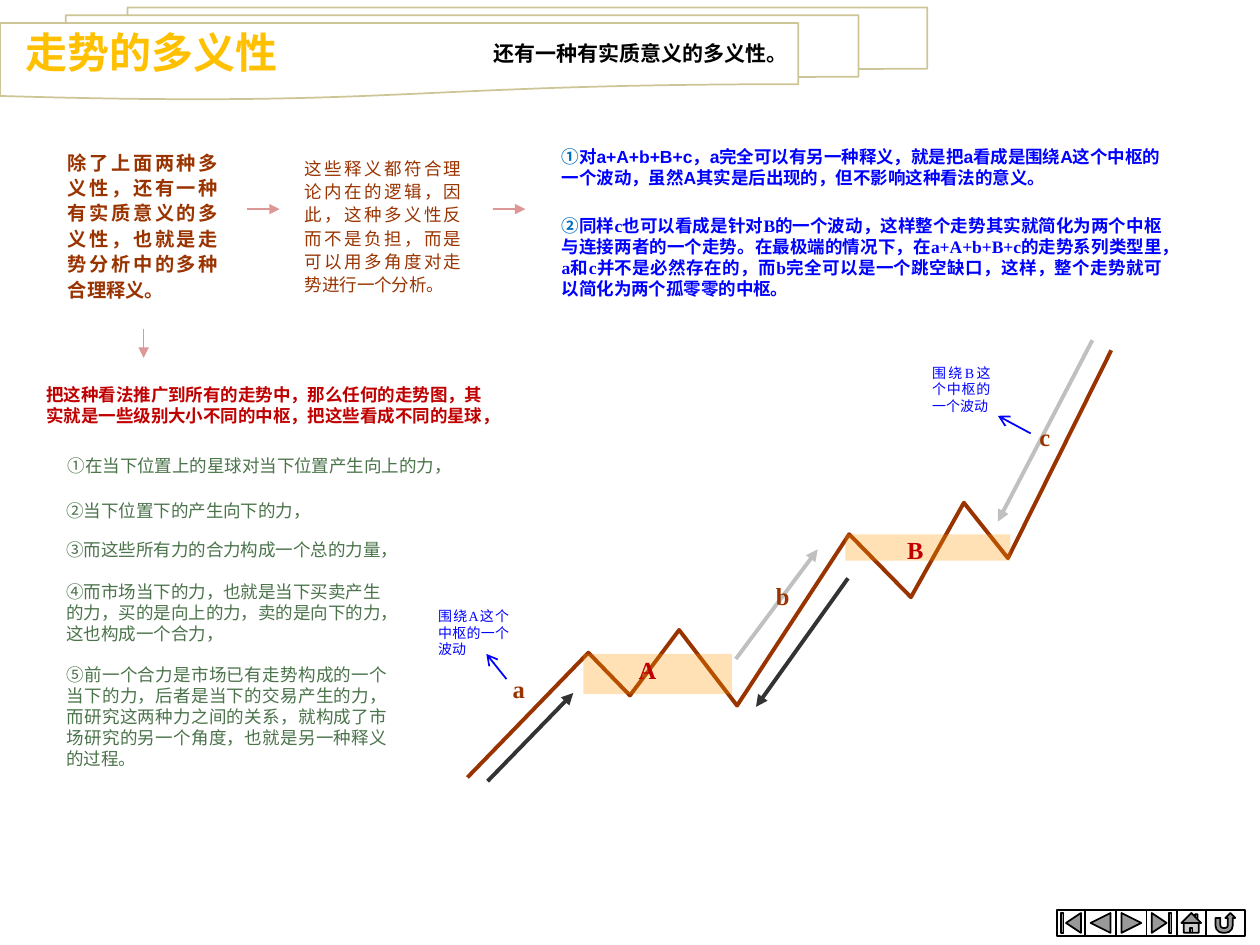
from dataclasses import dataclass

from lxml import etree
from pptx import Presentation
from pptx.dml.color import RGBColor
from pptx.enum.shapes import MSO_CONNECTOR, MSO_SHAPE
from pptx.enum.text import MSO_ANCHOR, MSO_AUTO_SIZE, PP_ALIGN
from pptx.oxml.ns import qn
from pptx.util import Inches, Pt

STRAIGHT = MSO_CONNECTOR.STRAIGHT
RECTANGLE = MSO_SHAPE.RECTANGLE
BANNER = MSO_SHAPE.FLOWCHART_MULTIDOCUMENT
LEFT, JUSTIFY = PP_ALIGN.LEFT, PP_ALIGN.JUSTIFY
TOP, BOTTOM = MSO_ANCHOR.TOP, MSO_ANCHOR.BOTTOM
NO_AUTOFIT = MSO_AUTO_SIZE.NONE

SANS, SERIF, CHINESE = "Arial", "Times New Roman", "Noto Sans CJK SC"
COLORS = {
    "white": "FFFFFF", "black": "000000", "gold": "FFC000", "banner": "CEC597",
    "brown": "993300", "green": "4A734A", "blue": "0000FF", "marker": "0070C0",
    "red": "C00000", "pink": "DD9797", "orange": "FF9900", "silver": "C0C0C0",
    "dark": "333333",
}


@dataclass
class TextBlock:
    left: float
    top: float
    width: float
    height: float
    runs: list[tuple[str, str]]  # (text, color)
    size: float = 10
    font: str = SANS
    bold: bool = False
    align: PP_ALIGN = LEFT
    spacing: float = 1.2  # line pitch relative to the text size
    wrap: bool = True


@dataclass
class Line:
    start: tuple[float, float]
    end: tuple[float, float]
    color: str
    width: float
    head: str = "triangle"


TEXTS = [
    TextBlock(3.82, 0.27, 2.52, 0.39, [("还有一种有实质意义的多义性。", "black")], 12, bold=True),
    TextBlock(0.44, 1.13, 1.39, 1.26,
              [("除了上面两种多义性，还有一种有实质意义的多义性，也就是走势分析中的多种合理释义。", "brown")],
              11, SERIF, True, JUSTIFY, 1.32),
    TextBlock(2.32, 1.19, 1.44, 1.18,
              [("这些释义都符合理论内在的逻辑，因此，这种多义性反而不是负担，而是可以用多角度对走势进行一个分析。", "brown")],
              10, SERIF, False, JUSTIFY, 1.32),
    TextBlock(4.36, 1.11, 5.04, 0.44,
              [("①", "marker"),
               ("对a+A+b+B+c，a完全可以有另一种释义，就是把a看成是围绕A这个中枢的一个波动，"
                "虽然A其实是后出现的，但不影响这种看法的意义。", "blue")], bold=True),
    TextBlock(4.36, 1.66, 4.96, 0.71,
              [("②", "marker"),
               ("同样c也可以看成是针对B的一个波动，这样整个走势其实就简化为两个中枢与连接两者的一个走势。"
                "在最极端的情况下，在a+A+b+B+c的走势系列类型里，a和c并不是必然存在的，"
                "而b完全可以是一个跳空缺口，这样，整个走势就可以简化为两个孤零零的中枢。", "blue")],
              10, SERIF, True, JUSTIFY),
    TextBlock(0.27, 3, 3.73, 0.6,
              [("把这种看法推广到所有的走势中，那么任何的走势图，其实就是一些级别大小不同的中枢，"
                "把这些看成不同的星球，", "red")], bold=True),
    TextBlock(0.44, 3.56, 3.24, 0.27,
              [("①在当下位置上的星球对当下位置产生向上的力，", "green")], wrap=False),
    TextBlock(0.43, 3.92, 2.13, 0.27,
              [("②当下位置下的产生向下的力，", "green")], wrap=False),
    TextBlock(0.43, 4.23, 2.81, 0.44,
              [("③而这些所有力的合力构成一个总的力量，", "green")]),
    TextBlock(0.43, 4.56, 2.76, 0.6,
              [("④而市场当下的力，也就是当下买卖产生的力，买的是向上的力，卖的是向下的力，"
                "这也构成一个合力，", "green")]),
    TextBlock(0.43, 5.22, 2.74, 0.97,
              [("⑤前一个合力是市场已有走势构成的一个当下的力，后者是当下的交易产生的力，"
                "而研究这两种力之间的关系，就构成了市场研究的另一个角度，也就是另一种释义的过程。", "green")],
              align=JUSTIFY),
    TextBlock(3.38, 4.77, 0.76, 0.52, [("围绕A这个中枢的一个波动", "blue")], 8, SERIF, align=JUSTIFY),
    TextBlock(7.3, 2.84, 0.66, 0.52, [("围绕B这个中枢的一个波动", "blue")], 8, SERIF, align=JUSTIFY),
]

TREND = [(3.71, 6.17), (4.67, 5.18), (5, 5.52), (5.39, 5), (5.85, 5.6),
         (6.74, 4.24), (7.23, 4.74), (7.65, 3.99), (8, 4.43), (8.82, 2.78)]
ZONES = [(4.63, 5.19, 1.18, 0.32), (6.71, 4.24, 1.31, 0.21)]
LETTERS = [("a", 3.97, 5.3, "brown"), ("A", 4.97, 5.15, "red"), ("b", 6.06, 4.56, "brown"),
           ("B", 7.1, 4.2, "red"), ("c", 8.15, 3.3, "brown")]
LINES = [
    Line((1.96, 1.66), (2.22, 1.66), "pink", 0.75),
    Line((3.91, 1.66), (4.17, 1.66), "pink", 0.75),
    Line((1.14, 2.61), (1.14, 2.84), "pink", 1),
    Line((4.02, 5.39), (3.86, 5.19), "blue", 1, "arrow"),
    Line((8.18, 3.44), (7.92, 3.3), "blue", 1, "arrow"),
    Line((8.67, 2.7), (7.92, 4.14), "silver", 2.25),
    Line((5.84, 5.23), (6.49, 4.36), "silver", 2.25),
    Line((3.87, 6.2), (4.55, 5.5), "dark", 2.25),
    Line((6.73, 4.59), (6, 5.61), "dark", 2.25),
]
BUTTONS = [
    (MSO_SHAPE.ACTION_BUTTON_BEGINNING, 0.22),
    (MSO_SHAPE.ACTION_BUTTON_BACK_OR_PREVIOUS, 0.25),
    (MSO_SHAPE.ACTION_BUTTON_FORWARD_OR_NEXT, 0.24),
    (MSO_SHAPE.ACTION_BUTTON_END, 0.24),
    (MSO_SHAPE.ACTION_BUTTON_HOME, 0.23),
    (MSO_SHAPE.ACTION_BUTTON_RETURN, 0.31),
]


def rgb(name: str) -> RGBColor:
    return RGBColor.from_string(COLORS[name])


def place(shape, left: float, top: float, width: float, height: float) -> None:
    shape.left, shape.top = Inches(left), Inches(top)
    shape.width, shape.height = Inches(width), Inches(height)


def fill_text(shape, block: TextBlock, anchor: MSO_ANCHOR = TOP) -> None:
    frame = shape.text_frame
    frame.word_wrap = block.wrap
    frame.auto_size = NO_AUTOFIT
    frame.vertical_anchor = anchor
    paragraph = frame.paragraphs[0]
    paragraph.alignment = block.align
    paragraph.line_spacing = Pt(block.size * block.spacing)
    for text, color in block.runs:
        run = paragraph.add_run()
        run.text = text
        run.font.size, run.font.bold = Pt(block.size), block.bold
        run.font.color.rgb = rgb(color)
        run.font.name = block.font
        latin = run.font._element.find(qn("a:latin"))
        east_asian = etree.Element(qn("a:ea"), typeface=CHINESE)
        latin.addnext(east_asian)


def add_text(slide, block: TextBlock) -> None:
    shape = slide.shapes.add_textbox(0, 0, 0, 0)
    place(shape, block.left, block.top, block.width, block.height)
    fill_text(shape, block)


def add_box(slide, kind: MSO_SHAPE, box: tuple, fill: str, line: str | None = None):
    shape = slide.shapes.add_shape(kind, *map(Inches, box))
    shape.shadow.inherit = False
    shape.fill.solid()
    shape.fill.fore_color.rgb = rgb(fill)
    if line:
        shape.line.color.rgb, shape.line.width = rgb(line), Pt(1)
    else:
        shape.line.fill.background()
    return shape


def add_zone(slide, box: tuple) -> None:
    """Add a translucent band marking a trading range."""
    shape = add_box(slide, RECTANGLE, box, "orange")
    color = shape.element.spPr.find(qn("a:solidFill"))[0]
    etree.SubElement(color, qn("a:alpha"), val="29000")


def add_line(slide, line: Line) -> None:
    connector = slide.shapes.add_connector(STRAIGHT, *map(Inches, line.start + line.end))
    connector.line.color.rgb, connector.line.width = rgb(line.color), Pt(line.width)
    outline = connector.line._get_or_add_ln()
    etree.SubElement(outline, qn("a:tailEnd"), type=line.head)
    etree.SubElement(connector.element.spPr, qn("a:effectLst"))


def add_trend(slide) -> None:
    points = [(Inches(x), Inches(y)) for x, y in TREND]
    builder = slide.shapes.build_freeform(*points[0])
    builder.add_line_segments(points[1:], close=False)
    shape = builder.convert_to_shape()
    shape.shadow.inherit = False
    shape.fill.background()
    shape.line.color.rgb, shape.line.width = rgb("brown"), Pt(2.25)


def main() -> None:
    presentation = Presentation()
    presentation.slide_width, presentation.slide_height = Inches(10), Inches(7.5)
    slide = presentation.slides.add_slide(presentation.slide_layouts[5])

    title = slide.shapes.title
    place(title, 0.1, 0.18, 2.22, 0.48)
    fill_text(title, TextBlock(0.1, 0.18, 2.22, 0.48, [("走势的多义性", "gold")], 24, CHINESE, True), BOTTOM)
    banner = add_box(slide, BANNER, (0, 0.06, 7.36, 0.73), "white", "banner")
    title.element.addprevious(banner.element)

    for block in TEXTS:
        add_text(slide, block)
    add_trend(slide)
    for zone in ZONES:
        add_zone(slide, zone)
    for line in LINES:
        add_line(slide, line)
    for letter, left, top, color in LETTERS:
        add_text(slide, TextBlock(left, top, 0.39, 0.42, [(letter, color)], 14, SERIF, True, JUSTIFY))

    left = 8.39
    for kind, width in BUTTONS:
        add_box(slide, kind, (left, 7.22, width, 0.21), "white", "black")
        left += width
    presentation.save("out.pptx")


if __name__ == "__main__":
    main()
